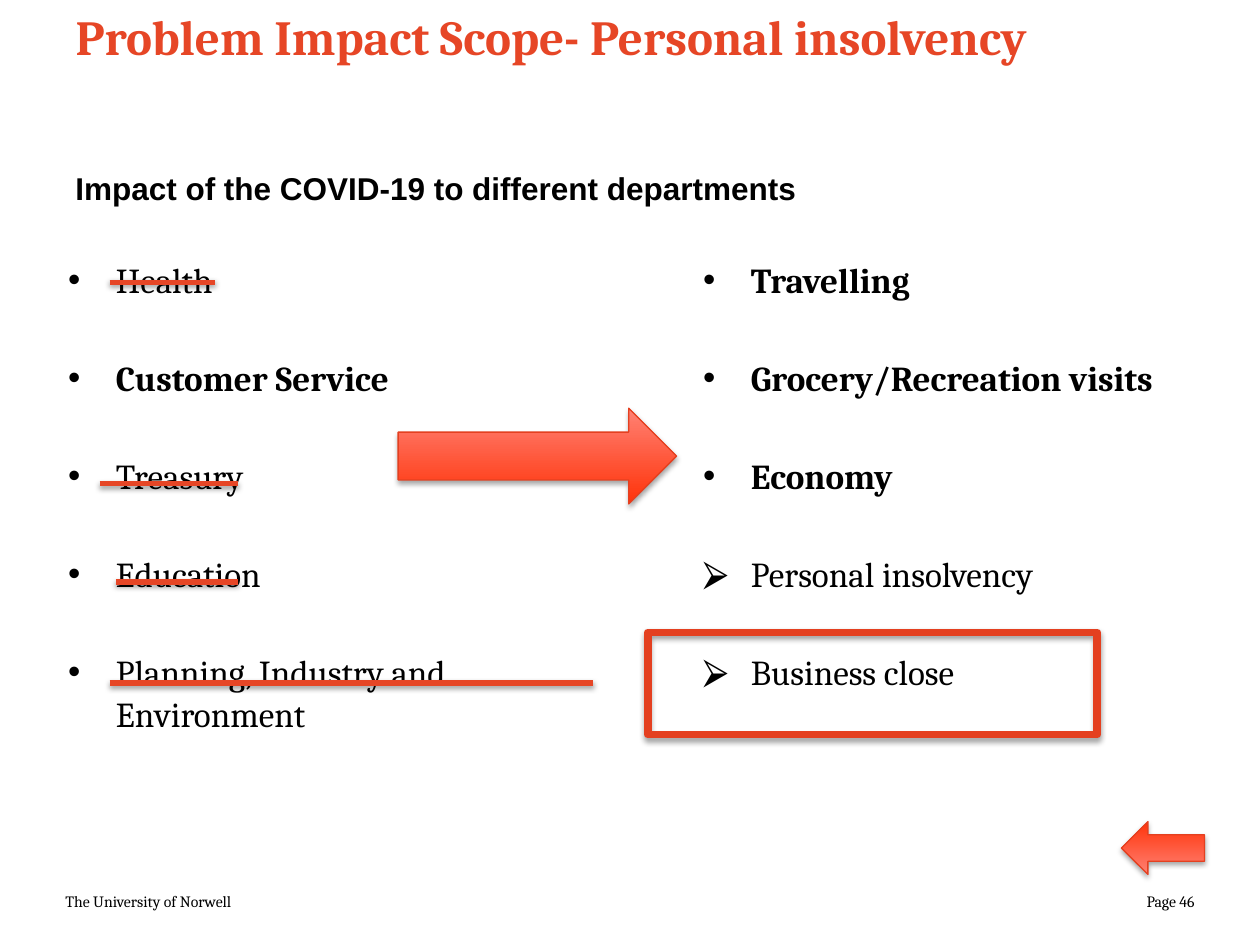
from dataclasses import dataclass

from lxml import etree
from pptx import Presentation
from pptx.dml.color import RGBColor
from pptx.enum import shapes, text
from pptx.oxml import ns
from pptx.util import Inches, Pt


@dataclass(frozen=True)
class Theme:
    ink: str = "000000"
    accent: str = "E64626"
    edge: str = "E44020"
    fill_start: str = "FF3209"
    fill_end: str = "FF8274"
    serif: str = "Cambria"
    sans: str = "Arial"
    title: int = 28
    body: int = 20
    heading: int = 18
    footer: int = 9
    item_gap: int = 32


THEME = Theme()
DOT, ARROWHEAD = "•", "⮚"

DEPARTMENTS = [
    ("Health", False, DOT),
    ("Customer Service", True, DOT),
    ("Treasury", False, DOT),
    ("Education", False, DOT),
    ("Planning, Industry and Environment", False, DOT),
]
IMPACTS = [
    ("Travelling", True, DOT),
    ("Grocery/Recreation visits", True, DOT),
    ("Economy", True, DOT),
    ("Personal insolvency", False, ARROWHEAD),
    ("Business close", False, ARROWHEAD),
]
# left, right and height of each line that crosses out a department
STRIKES = [(0.87, 1.71, 2.24), (0.79, 1.89, 3.84),
           (0.92, 1.89, 4.62), (0.87, 4.71, 5.42)]


def place(shape, left, top, width, height):
    shape.left, shape.top = Inches(left), Inches(top)
    shape.width, shape.height = Inches(width), Inches(height)


def add_child(parent, tag, **attributes):
    return etree.SubElement(parent, ns.qn(tag), attributes)


def write(para, words, size, color=THEME.ink, font=THEME.serif, bold=False,
          align=text.PP_ALIGN.LEFT):
    para.alignment = align
    span = para.add_run()
    span.text = words
    span.font.name = font
    span.font.size = Pt(size)
    span.font.bold = bold
    span.font.color.rgb = RGBColor.from_string(color)


def prepare_frame(shape, anchor):
    frame = shape.text_frame
    frame.word_wrap = True
    frame.auto_size = text.MSO_AUTO_SIZE.NONE
    frame.vertical_anchor = anchor
    return frame


def add_label(page, words, bounds, size, anchor=text.MSO_ANCHOR.MIDDLE,
              **style):
    box = page.shapes.add_textbox(*map(Inches, bounds))
    frame = prepare_frame(box, anchor)
    write(frame.paragraphs[0], words, size, **style)


def set_title(page, words):
    title = page.shapes.title
    place(title, 0.5, 0.05, 9, 1.25)
    frame = prepare_frame(title, text.MSO_ANCHOR.TOP)
    frame.margin_top = 0
    write(frame.paragraphs[0], words, THEME.title, color=THEME.accent,
          bold=True)


def set_bullet(para, mark):
    indent = Inches(0.38)
    props = para._p.get_or_add_pPr()
    props.set("marL", str(indent))
    props.set("indent", str(-indent))
    color = add_child(props, "a:buClr")
    add_child(color, "a:srgbClr", val=THEME.ink)
    add_child(props, "a:buFont", typeface=THEME.sans)
    add_child(props, "a:buChar", char=mark)


def fill_list(holder, left, items):
    place(holder, left, 2, 4.42, 4.95)
    frame = prepare_frame(holder, text.MSO_ANCHOR.TOP)
    for index, (words, bold, mark) in enumerate(items):
        para = frame.add_paragraph() if index else frame.paragraphs[0]
        para.space_before = Pt(THEME.item_gap if index else 0)
        write(para, words, THEME.body, bold=bold)
        set_bullet(para, mark)


def set_outline(shape, color, width):
    shape.line.color.rgb = RGBColor.from_string(color)
    shape.line.width = Pt(width)


def add_shadow(shape, opacity, distance):
    """Drop a soft black shadow straight down; call after fill and line."""
    effects = add_child(shape._element.spPr, "a:effectLst")
    shadow = add_child(effects, "a:outerShdw", blurRad=str(Pt(3.1)),
                       dist=str(Pt(distance)), dir="5400000",
                       rotWithShape="0")
    color = add_child(shadow, "a:srgbClr", val="000000")
    add_child(color, "a:alpha", val=str(opacity * 1000))


def add_arrow(page, bounds, rotation=0):
    arrow = page.shapes.add_shape(shapes.MSO_SHAPE.RIGHT_ARROW,
                                  *map(Inches, bounds))
    arrow.rotation = rotation
    arrow.fill.gradient()
    arrow.fill.gradient_angle = 90
    colors = (THEME.fill_start, THEME.fill_end)
    for position, (stop, color) in enumerate(
            zip(arrow.fill.gradient_stops, colors)):
        stop.position = position
        stop.color.rgb = RGBColor.from_string(color)
    set_outline(arrow, THEME.edge, 0.75)
    add_shadow(arrow, 35, 1.8)


def add_highlight(page, bounds):
    frame = page.shapes.add_shape(shapes.MSO_SHAPE.RECTANGLE,
                                  *map(Inches, bounds))
    frame.fill.background()
    set_outline(frame, THEME.edge, 4.5)
    add_shadow(frame, 35, 1.8)


def add_strike(page, left, right, height):
    strike = page.shapes.add_connector(
        shapes.MSO_CONNECTOR.STRAIGHT,
        *map(Inches, (left, height, right, height)))
    set_outline(strike, THEME.accent, 3)
    add_shadow(strike, 38, 1.6)


def main():
    deck = Presentation()
    deck.slide_width, deck.slide_height = Inches(10), Inches(7.5)
    page = deck.slides.add_slide(deck.slide_layouts.get_by_name("Two Content"))

    set_title(page, "Problem Impact Scope- Personal insolvency")
    fill_list(page.placeholders[1], 0.44, DEPARTMENTS)
    fill_list(page.placeholders[2], 5.48, IMPACTS)
    add_label(page, "Impact of the COVID-19 to different departments",
              (0.5, 1.29, 9.65, 0.4), THEME.heading,
              anchor=text.MSO_ANCHOR.TOP, font=THEME.sans, bold=True)
    add_label(page, "The University of Norwell", (0.42, 6.95, 2.33, 0.4),
              THEME.footer)
    add_label(page, "Page 46", (7.25, 6.95, 2.33, 0.4), THEME.footer,
              align=text.PP_ALIGN.RIGHT)

    for strike in STRIKES:
        add_strike(page, *strike)
    add_arrow(page, (3.16, 3.24, 2.21, 0.76))
    add_arrow(page, (8.9, 6.52, 0.66, 0.42), rotation=180)
    add_highlight(page, (5.14, 5.02, 3.57, 0.81))
    deck.save("out.pptx")


if __name__ == "__main__":
    main()
